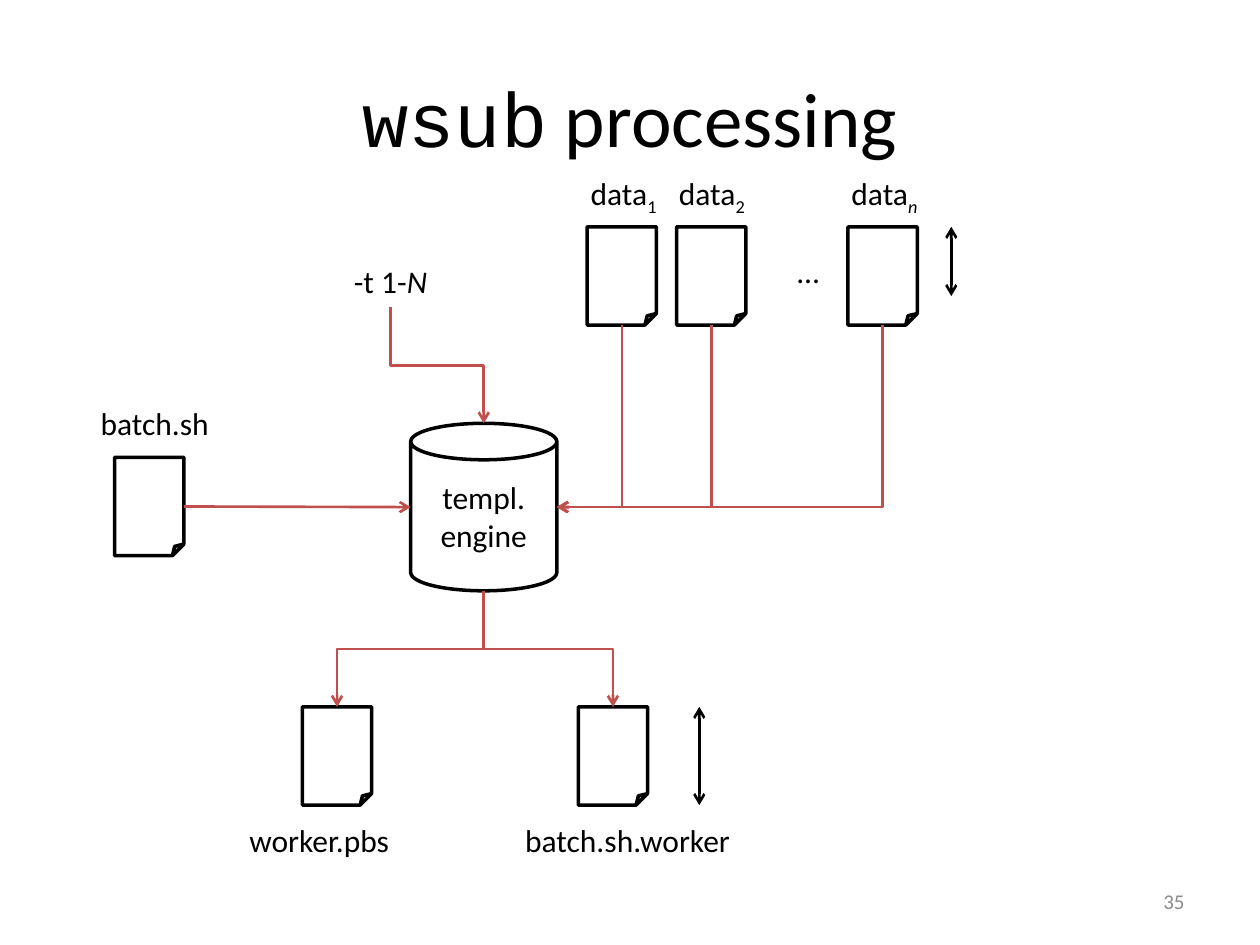
from lxml.etree import SubElement
from pptx import Presentation
from pptx.dml.color import RGBColor
from pptx.enum.shapes import MSO_CONNECTOR as Link, MSO_SHAPE as Shape
from pptx.enum.text import MSO_ANCHOR as Anchor, MSO_AUTO_SIZE as AutoSize, PP_ALIGN as Align
from pptx.oxml.ns import qn
from pptx.util import Inches, Pt

# Content; lengths are columns and rows of a 100 x 75 grid
COLORS = {"ink": "000000", "paper": "FFFFFF", "flow": "C0504D", "number": "8C8C8C"}
BODY, CODE = "Calibri", "Courier New"
ITALIC, SUB = {"italic": True}, {"sub": True}
TITLE = [("wsub", {"name": CODE}), (" processing", {})]
FILE_WIDTH, FILE_HEIGHT = 5.5, 7.8
DATA_TOP, BATCH_TOP, OUTPUT_TOP = 18, 36.3, 56.1
FILES = {  # left, top
    "data 1": (46.6, DATA_TOP),
    "data 2": (53.7, DATA_TOP),
    "data n": (67.3, DATA_TOP),
    "batch": (9.1, BATCH_TOP),
    "worker": (24, OUTPUT_TOP),
    "batch worker": (45.9, OUTPUT_TOP),
}
LABELS = [  # left, top, width, spans
    (45.9, 13.3, 7.4, [("data", {}), ("1", SUB)]),
    (52.9, 13.3, 7.4, [("data", {}), ("2", SUB)]),
    (66.6, 13.3, 7.4, [("data", {}), ("n", SUB | ITALIC)]),
    (62.3, 19.5, 3.8, [("…", {})]),
    (7, 31.6, 10.7, [("batch.sh", {})]),
    (27.1, 20.3, 7.9, [("-t 1-", {}), ("N", ITALIC)]),
    (18.8, 64.7, 13.2, [("worker.pbs", {})]),
    (40.7, 64.7, 18.4, [("batch.sh.worker", {})]),
]
LABEL_HEIGHT = 4
ENGINE = (32.6, 33.6, 11.6, 13.3)
ENGINE_LINES = ["templ.", "engine"]
OPTION_FOOT = (31, 24.4)
EXTENTS = [(75.5, DATA_TOP, 23.5), (55.5, OUTPUT_TOP, OUTPUT_TOP + FILE_HEIGHT)]  # x, top, bottom

deck = Presentation()
deck.slide_width, deck.slide_height = Inches(10), Inches(7.5)
CELL = deck.slide_width / 100
page = deck.slides.add_slide(deck.slide_layouts[5])


def grid(*lengths):
    return [round(length * CELL) for length in lengths]


def color(name):
    return RGBColor.from_string(COLORS[name])


def write(para, spans, align=Align.LEFT, size=18, ink="ink"):
    para.alignment = align
    for text, changes in spans:
        span = para.add_run()
        span.text = text
        span.font.color.rgb = color(ink)
        settings = {"name": BODY, "size": Pt(size)} | changes
        if settings.pop("sub", False):
            span.font._element.set("baseline", "-25000")
        for key, value in settings.items():
            setattr(span.font, key, value)


def outline(kind, box, fill=None):
    shape = page.shapes.add_shape(kind, *grid(*box))
    shape.shadow.inherit = False
    if fill:
        shape.fill.solid()
        shape.fill.fore_color.rgb = color(fill)
    else:
        shape.fill.background()
    shape.line.color.rgb = color("ink")
    shape.line.width = Pt(2)
    return shape


def arrow(start, end, ink, ends=("tailEnd",), kind=Link.STRAIGHT):
    connector = page.shapes.add_connector(kind, *grid(*start, *end))
    connector.line.color.rgb = color(ink)
    connector.line.width = Pt(1.5)
    properties = connector._element.spPr
    for name in ends:
        SubElement(properties.find(qn("a:ln")), qn("a:" + name), type="arrow")
    SubElement(properties, qn("a:effectLst"))
    return properties


def elbow(start, end, preset):
    """Leave start downwards: a turned connector with its sides swapped."""
    (x1, y1), (x2, y2) = start, end
    length, breadth = y2 - y1, abs(x2 - x1)
    left, top = (x1 + x2 - length) / 2, (y1 + y2 - breadth) / 2
    properties = arrow((left, top), (left + length, top + breadth), "flow", kind=Link.ELBOW)
    properties.find(qn("a:prstGeom")).set("prst", preset)
    frame = properties.find(qn("a:xfrm"))
    frame.set("rot", str((90 if x2 < x1 else 270) * 60000))
    if x2 > x1:
        frame.set("flipH", "1")


def file_top(name):
    left, top = FILES[name]
    return left + FILE_WIDTH / 2, top


def file_foot(name):
    x, top = file_top(name)
    return x, top + FILE_HEIGHT


# Title
title = page.shapes.title
title.left, title.top, title.width, title.height = grid(5, 3, 90, 12.5)
title.text_frame.vertical_anchor = Anchor.MIDDLE
write(title.text_frame.paragraphs[0], TITLE, Align.CENTER, 44)

# Files and their labels
for left, top in FILES.values():
    outline(Shape.FOLDED_CORNER, (left, top, FILE_WIDTH, FILE_HEIGHT), "paper")
for left, top, width, spans in LABELS:
    frame = page.shapes.add_textbox(*grid(left, top, width, LABEL_HEIGHT)).text_frame
    frame.word_wrap = False
    frame.auto_size = AutoSize.SHAPE_TO_FIT_TEXT
    write(frame.paragraphs[0], spans)

# Template engine
frame = outline(Shape.CAN, ENGINE).text_frame
frame.vertical_anchor = Anchor.MIDDLE
for index, line in enumerate(ENGINE_LINES):
    para = frame.add_paragraph() if index else frame.paragraphs[0]
    write(para, [(line, {})], Align.CENTER)

# Flow into and out of the engine
left, top, width, height = ENGINE
center, middle = left + width / 2, top + height / 2
batch_left, batch_top = FILES["batch"]
arrow((batch_left + FILE_WIDTH, batch_top + FILE_HEIGHT / 2), (left, middle), "flow")
elbow(OPTION_FOOT, (center, top), "bentConnector3")
for name in ("data 1", "data 2", "data n"):
    elbow(file_foot(name), (left + width, middle), "bentConnector2")
for name in ("worker", "batch worker"):
    elbow((center, top + height), file_top(name), "bentConnector3")

# Extent arrows
for x, top, bottom in EXTENTS:
    arrow((x, top), (x, bottom), "ink", ("headEnd", "tailEnd"))

# Page number
frame = page.shapes.add_textbox(*grid(71.7, 69.5, 23.3, 4)).text_frame
frame.word_wrap = True
frame.vertical_anchor = Anchor.MIDDLE
write(frame.paragraphs[0], [("35", {})], Align.RIGHT, 12, "number")

deck.save("out.pptx")
